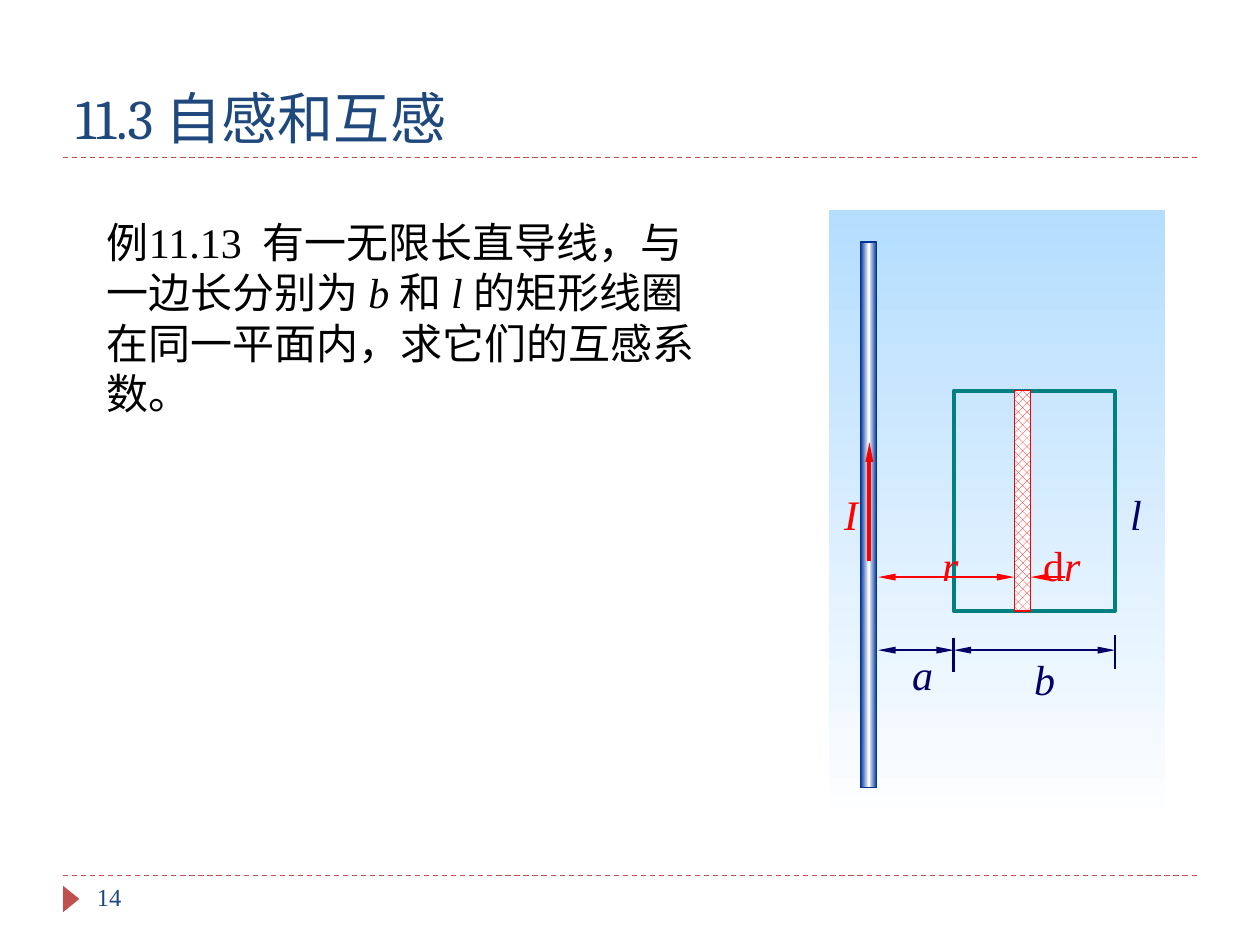
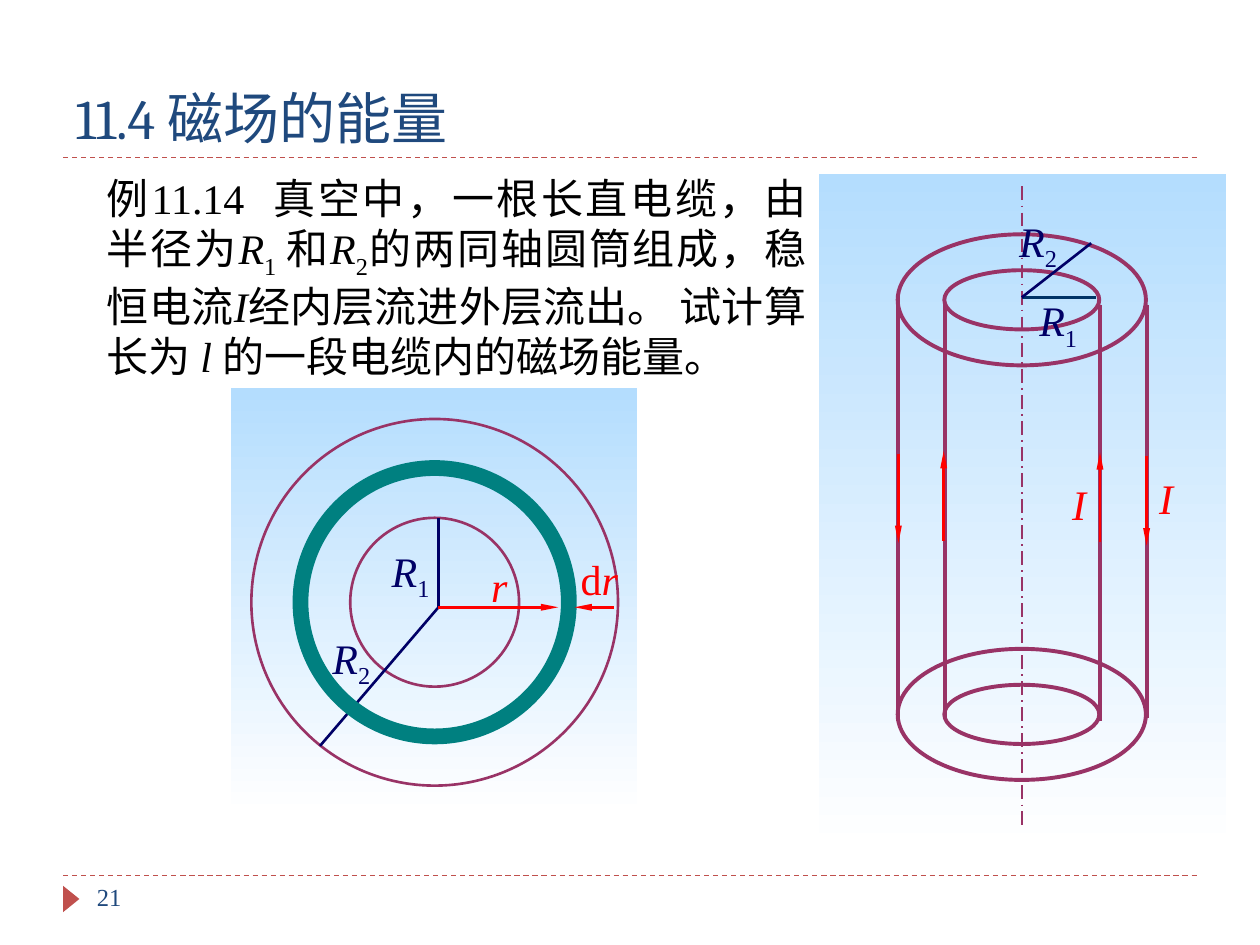
from lxml import etree
from pptx import Presentation
from pptx.dml.color import RGBColor
from pptx.enum.dml import MSO_LINE, MSO_PATTERN
from pptx.enum.shapes import MSO_CONNECTOR, MSO_SHAPE
from pptx.enum.text import MSO_ANCHOR, MSO_AUTO_SIZE, PP_ALIGN
from pptx.oxml.ns import qn
from pptx.util import Inches, Pt

RECTANGLE, OVAL, TRIANGLE = MSO_SHAPE.RECTANGLE, MSO_SHAPE.OVAL, MSO_SHAPE.ISOSCELES_TRIANGLE
STRAIGHT = MSO_CONNECTOR.STRAIGHT
DASH, LONG_DASH_DOT = MSO_LINE.DASH, MSO_LINE.LONG_DASH_DOT
HATCH = MSO_PATTERN.PERCENT_50
BOTTOM, LEFT, JUSTIFY = MSO_ANCHOR.BOTTOM, PP_ALIGN.LEFT, PP_ALIGN.JUSTIFY
NO_FIT = MSO_AUTO_SIZE.NONE

BLACK, WHITE, RED, NAVY = "000000", "FFFFFF", "FF0000", "000066"
TITLE_BLUE, ACCENT, SKY = "1F497D", "C0504D", "B4DDFE"
WIRE_BLUE, TEAL, PLUM, DEEP_BLUE = "003399", "008080", "993366", "003366"
TITLE_FONT, BODY_FONT = "Cambria", "Times New Roman"


def rgb(value):
    """Turn a hex string into a colour."""
    return RGBColor.from_string(value)


def add_span(para, text, size, color, font=BODY_FONT, style=""):
    """Add one run; style is empty, "i" for italic or "sub" for subscript."""
    span = para.add_run()
    span.text = text
    span.font.name = font
    span.font.size = Pt(size)
    span.font.color.rgb = rgb(color)
    if style == "i":
        span.font.italic = True
    elif style == "sub":
        span.font._element.set("baseline", "-25000")


def add_text(canvas, left, top, width, height, spans, color=BLACK, size=24, align=LEFT):
    """Add a wrapped text box of (text, style) spans that keeps punctuation inside."""
    box = canvas.add_textbox(Inches(left), Inches(top), Inches(width), Inches(height))
    box.text_frame.word_wrap = True
    para = box.text_frame.paragraphs[0]
    para.alignment = align
    para._p.get_or_add_pPr().set("hangingPunct", "0")
    for text, style in spans:
        add_span(para, text, size, color, style=style)


def add_label(canvas, left, top, spans, color, width=0.55):
    """Add a short symbol label."""
    add_text(canvas, left, top, width, 0.5, spans, color)


def add_radius(canvas, left, top, index):
    """Add a label R with a subscript index."""
    add_label(canvas, left, top, [("R", "i"), (index, "sub")], NAVY, 1.02)


def add_figure(canvas, kind, left, top, width, height, line=None, weight=0.75):
    """Add an unfilled preset shape."""
    figure = canvas.add_shape(kind, Inches(left), Inches(top), Inches(width), Inches(height))
    figure.shadow.inherit = False
    figure.fill.background()
    if line:
        figure.line.color.rgb = rgb(line)
        figure.line.width = Pt(weight)
    else:
        figure.line.fill.background()
    return figure


def add_ellipse(canvas, center_x, center_y, width, height, line, weight):
    """Add an ellipse outline around a centre."""
    add_figure(canvas, OVAL, center_x - width / 2, center_y - height / 2,
               width, height, line, weight)


def fill_gradient(figure, colors, angle):
    """Fill with evenly spaced colours at a clockwise angle."""
    figure.fill.gradient()
    figure.fill.gradient_angle = (360 - angle) % 360
    stops = figure._element.spPr.find(".//" + qn("a:gsLst"))
    for stop in list(stops):
        stops.remove(stop)
    for index, color in enumerate(colors):
        position = 100000 * index // (len(colors) - 1)
        stop = etree.SubElement(stops, qn("a:gs"), pos=str(position))
        etree.SubElement(stop, qn("a:srgbClr"), val=color)


def add_backdrop(canvas, left, top, width, height):
    """Add the sky-to-white panel behind a diagram."""
    fill_gradient(add_figure(canvas, RECTANGLE, left, top, width, height), [SKY, WHITE], 90)


def add_line(canvas, start, end, color, weight=1.5, dash=None, ends=()):
    """Add a straight line with optional dash and arrowheads."""
    line = canvas.add_connector(STRAIGHT, *(Inches(value) for value in (*start, *end)))
    line.line.color.rgb = rgb(color)
    line.line.width = Pt(weight)
    if dash:
        line.line.dash_style = dash
    outline = line.line._get_or_add_ln()
    for end_name in ends:
        etree.SubElement(outline, qn("a:" + end_name), type="triangle", w="sm", len="lg")
    etree.SubElement(line._element.spPr, qn("a:effectLst"))


def add_arrow(canvas, start, end, color, weight=1.5):
    """Add a line with an arrowhead at its end."""
    add_line(canvas, start, end, color, weight, ends=["tailEnd"])


def add_dimension(canvas, start, end, color, weight=1.5):
    """Add a line with arrowheads at both ends."""
    add_line(canvas, start, end, color, weight, ends=["headEnd", "tailEnd"])


def add_page(deck, heading, number):
    """Add a slide with title, rules, marker and page number."""
    page = deck.slides.add_slide(deck.slide_layouts[5])
    for y in (6.95, 1.25):
        add_line(page.shapes, (0.5, y), (9.5, y), ACCENT, 0.75, DASH)
    marker = add_figure(page.shapes, TRIANGLE, 0.46, 7.07, 0.21, 0.13)
    marker.rotation = 90
    marker.fill.solid()
    marker.fill.fore_color.rgb = rgb(ACCENT)
    title = page.shapes.title
    title.left, title.top = Inches(0.5), Inches(0.25)
    title.width, title.height = Inches(9), Inches(1)
    frame = title.text_frame
    frame.auto_size = NO_FIT
    frame.vertical_anchor = BOTTOM
    frame.paragraphs[0].alignment = LEFT
    add_span(frame.paragraphs[0], heading, 32, TITLE_BLUE, TITLE_FONT)
    add_text(page.shapes, 0.67, 6.95, 2.17, 0.4, [(number, "")], TITLE_BLUE, 14)
    return page


def draw_wire_and_loop(page):
    """Draw the long wire beside the rectangular loop."""
    canvas = page.shapes.add_group_shape().shapes
    wire_edge, loop_left, loop_right, strip_left, strip_right = 6.97, 7.57, 8.85, 8.05, 8.18
    add_backdrop(canvas, 6.58, 1.67, 2.67, 4.9)
    for x, top in ((loop_left, 5.06), (loop_right, 5.04)):
        add_line(canvas, (x, top), (x, top + 0.27), NAVY)
    for start, end in ((wire_edge, loop_left), (loop_left, loop_right)):
        add_dimension(canvas, (start, 5.16), (end, 5.16), NAVY)
    wire = add_figure(canvas, RECTANGLE, 6.83, 1.92, 0.13, 4.33, WIRE_BLUE)
    fill_gradient(wire, [WIRE_BLUE, WHITE, WIRE_BLUE], 0)
    add_figure(canvas, RECTANGLE, loop_left, 3.1, loop_right - loop_left, 1.75, TEAL, 2.25)
    strip = add_figure(canvas, RECTANGLE, strip_left, 3.1, strip_right - strip_left, 1.75, RED)
    strip.fill.patterned()
    strip.fill.pattern = HATCH
    strip.fill.fore_color.rgb = rgb(RED)
    strip.fill.back_color.rgb = rgb(WHITE)
    add_arrow(canvas, (6.9, 4.45), (6.9, 3.51), RED, 2.25)
    add_dimension(canvas, (wire_edge, 4.58), (strip_left, 4.58), RED, 0.75)
    add_arrow(canvas, (8.45, 4.58), (strip_right, 4.58), RED, 0.75)
    for symbol, left, top, width, color in (
        ("a", 7.14, 5.1, 0.37, NAVY),
        ("b", 8.11, 5.14, 0.37, NAVY),
        ("l", 8.87, 3.83, 0.29, NAVY),
        ("I", 6.6, 3.83, 0.32, RED),
        ("r", 7.38, 4.23, 0.33, RED),
    ):
        add_label(canvas, left, top, [(symbol, "i")], color, width)
    add_label(canvas, 8.18, 4.23, [("d", ""), ("r", "i")], RED)


def draw_cable(page):
    """Draw the two coaxial cylinders and their currents."""
    canvas = page.shapes.add_group_shape().shapes
    axis = 8.11
    add_backdrop(canvas, 6.5, 1.38, 3.23, 5.38)
    for y in (2.38, 5.67):
        add_ellipse(canvas, axis, y, 1.97, 1.04, PLUM, 2.25)
        add_ellipse(canvas, axis, y, 1.23, 0.47, PLUM, 2.25)
    for x, top, bottom in ((7.13, 2.33, 5.72), (7.5, 2.41, 5.7),
                           (8.73, 2.42, 5.72), (9.1, 2.42, 5.7)):
        add_line(canvas, (x, top), (x, bottom), PLUM, 2.25)
    add_line(canvas, (axis, 1.48), (axis, 6.57), PLUM, 1, LONG_DASH_DOT)
    add_line(canvas, (axis, 2.36), (8.7, 2.36), DEEP_BLUE)
    add_line(canvas, (axis, 2.36), (8.66, 1.93), NAVY)
    for x, start, end in ((7.13, 3.6, 4.31), (7.49, 4.29, 3.58),
                          (8.73, 4.3, 3.59), (9.1, 3.62, 4.33)):
        add_arrow(canvas, (x, start), (x, end), RED)
    for left, top in ((9.1, 3.7), (8.41, 3.75)):
        add_label(canvas, left, top, [("I", "i")], RED)
    add_radius(canvas, 8.15, 2.29, "1")
    add_radius(canvas, 7.99, 1.66, "2")


def draw_cross_section(page):
    """Draw the cable's cross-section with a thin shell."""
    canvas = page.shapes.add_group_shape().shapes
    hub = (3.48, 4.82)
    add_backdrop(canvas, 1.83, 3.08, 3.23, 3.39)
    for diameter in (2.91, 1.34):
        add_ellipse(canvas, 3.45, 4.78, diameter, diameter, PLUM, 1.5)
    for rim in ((2.54, 5.92), (3.48, 4.11)):
        add_line(canvas, hub, rim, NAVY)
    add_radius(canvas, 2.54, 4.97, "2")
    add_radius(canvas, 3.01, 4.28, "1")
    add_ellipse(canvas, 3.45, 4.78, 2.13, 2.13, TEAL, 9)
    add_arrow(canvas, hub, (4.43, 4.82), RED)
    add_arrow(canvas, (4.87, 4.82), (4.56, 4.82), RED)
    add_label(canvas, 3.8, 4.4, [("r", "i")], RED)
    add_label(canvas, 4.51, 4.34, [("d", ""), ("r", "i")], RED)


def main():
    """Build and save the deck."""
    deck = Presentation()
    deck.slide_width, deck.slide_height = Inches(10), Inches(7.5)

    page = add_page(deck, "11.3 自感和互感", "14")
    add_text(page.shapes, 0.75, 1.67, 4.92, 1.7, [
        ("例11.13  有一无限长直导线，与一边长分别为 ", ""), ("b ", "i"), ("和 ", ""),
        ("l ", "i"), ("的矩形线圈在同一平面内，求它们的互感系数。", ""),
    ])
    draw_wire_and_loop(page)

    page = add_page(deck, "11.4 磁场的能量", "21")
    add_text(page.shapes, 0.75, 1.32, 5.75, 1.7, [
        ("例11.14  真空中，一根长直电缆，由半径为", ""), ("R", "i"), ("1 ", "sub"),
        ("和", ""), ("R", "i"), ("2", "sub"), ("的两同轴圆筒组成，稳恒电流", ""),
        ("I", "i"), ("经内层流进外层流出。 试计算长为 ", ""), ("l ", "i"),
        ("的一段电缆内的磁场能量。", ""),
    ], align=JUSTIFY)
    draw_cable(page)
    draw_cross_section(page)

    deck.save("out.pptx")


if __name__ == "__main__":
    main()
